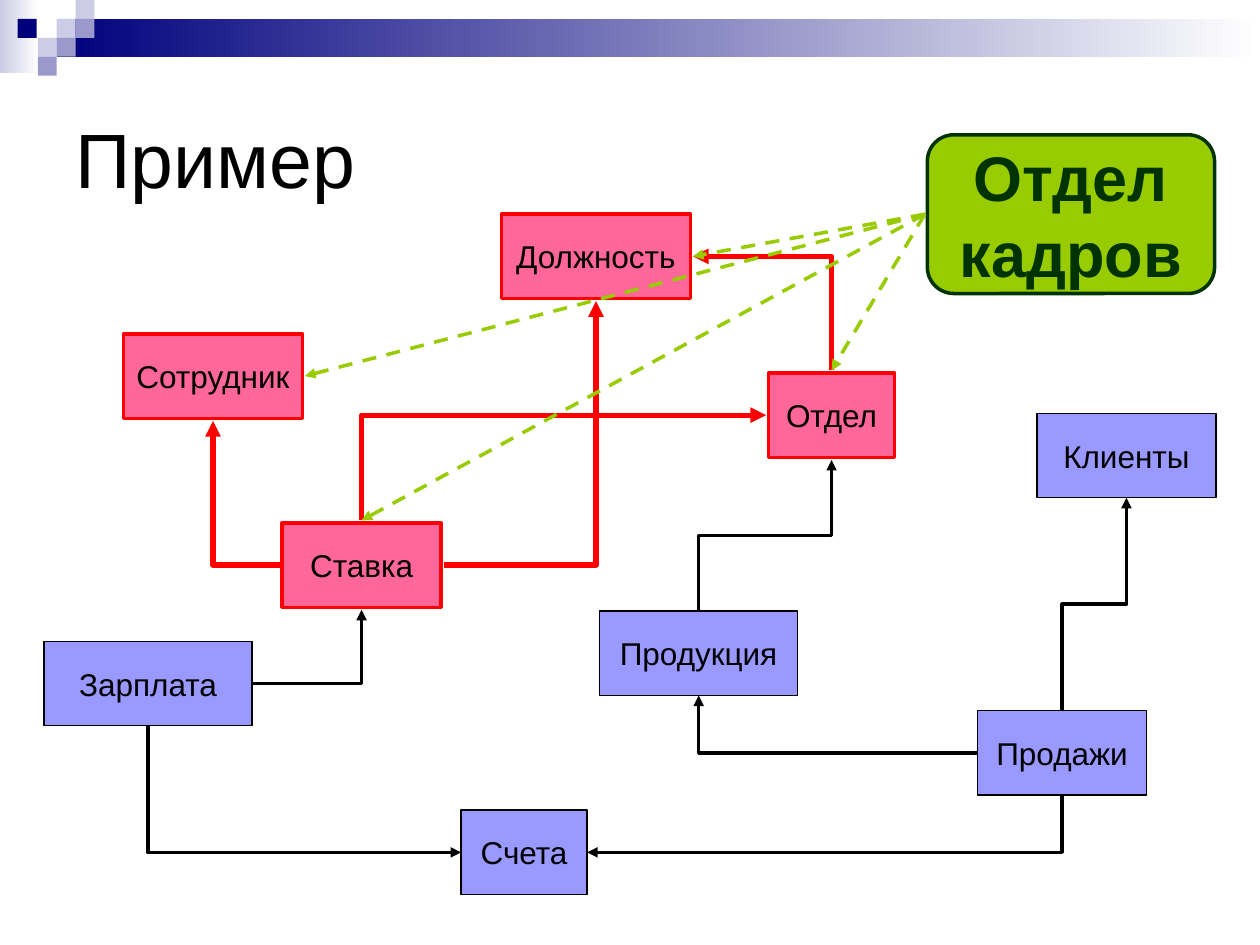
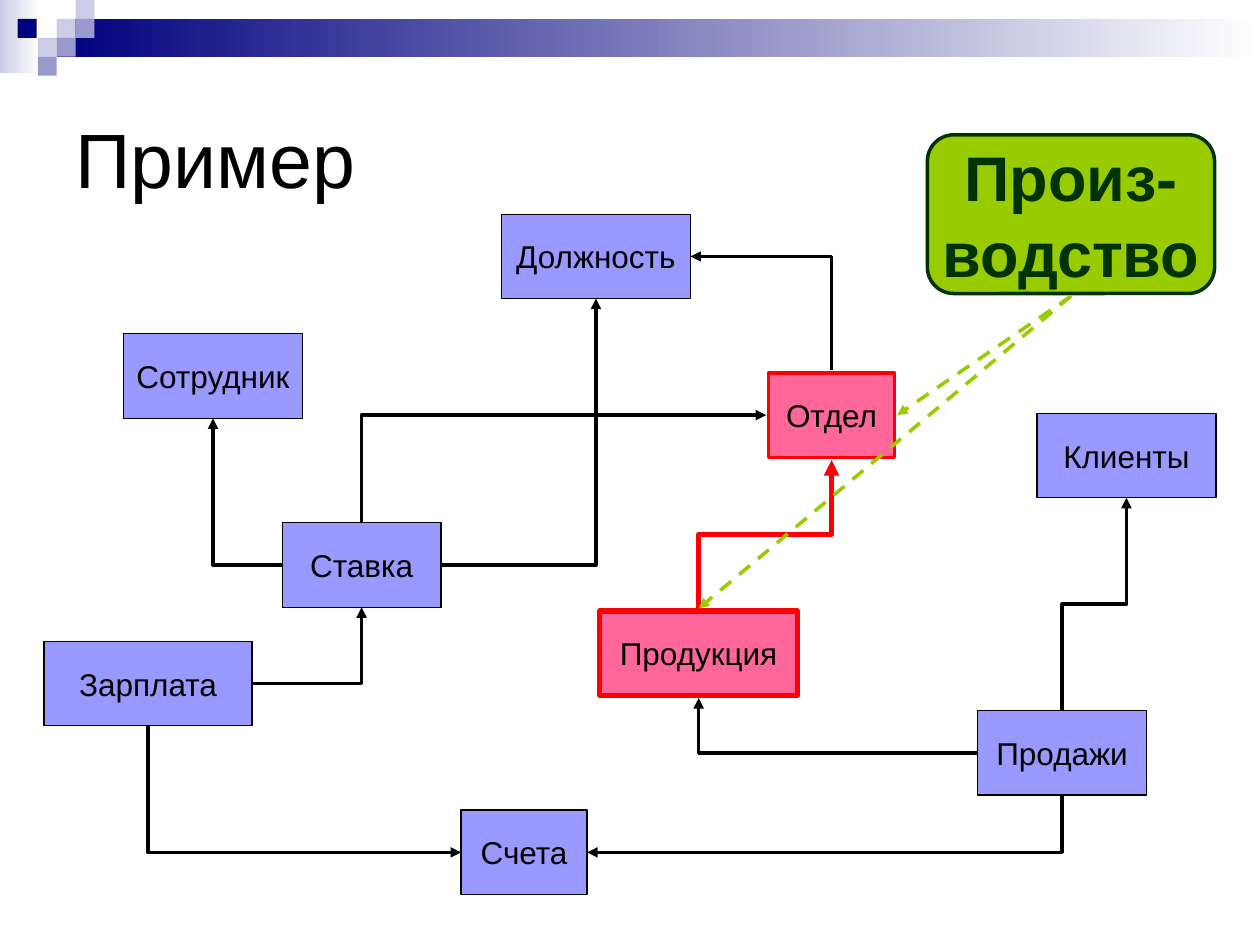
"""Build two slides that mark which tables of a company schema a department uses."""
from pptx import Presentation
from pptx import util as u
from pptx.dml.color import RGBColor
from pptx.enum import dml, shapes, text
from pptx.oxml import ns, xmlchemy

FONT = "Arial"
WHITE = RGBColor(0xFF, 0xFF, 0xFF)
BLACK = RGBColor(0, 0, 0)
NAVY = RGBColor(0, 0, 0x7D)
MIST = RGBColor(0xCC, 0xCC, 0xE6)
LILAC = RGBColor(0x99, 0x99, 0xCC)
BLUE = RGBColor(0x99, 0x99, 0xFF)
PINK = RGBColor(0xFF, 0x66, 0x99)
RED = RGBColor(0xFF, 0, 0)
LIME = RGBColor(0x99, 0xCC, 0)
GREEN = RGBColor(0, 0x33, 0)

TILE = 0.15
TILES = [
    (0.45, 0.15, MIST), (0.6, 0, MIST), (0.6, 0.15, LILAC), (0.3, 0.3, MIST),
    (0.14, 0.15, NAVY), (0.45, 0.3, LILAC), (0.3, 0.45, LILAC),
]

TABLES = {
    "Сотрудник": (0.98, 2.65, 1.42, 0.67),
    "Должность": (3.98, 1.7, 1.5, 0.67),
    "Ставка": (2.24, 4.15, 1.26, 0.67),
    "Зарплата": (0.35, 5.09, 1.65, 0.67),
    "Отдел": (6.1, 2.96, 1, 0.67),
    "Продукция": (4.76, 4.85, 1.57, 0.67),
    "Клиенты": (8.23, 3.28, 1.42, 0.67),
    "Продажи": (7.76, 5.64, 1.34, 0.67),
    "Счета": (3.66, 6.43, 1, 0.67),
}
LINKS = [
    ("Ставка", "left", "Сотрудник", "bottom"),
    ("Ставка", "right", "Должность", "bottom"),
    ("Зарплата", "right", "Ставка", "bottom"),
    ("Отдел", "top", "Должность", "right"),
    ("Ставка", "top", "Отдел", "left"),
    ("Продукция", "top", "Отдел", "bottom"),
    ("Продажи", "left", "Продукция", "bottom"),
    ("Продажи", "bottom", "Счета", "right"),
    ("Зарплата", "bottom", "Счета", "left"),
    ("Продажи", "top", "Клиенты", "bottom"),
]
SIDES = {"left": (-1, 0), "right": (1, 0), "top": (0, -1), "bottom": (0, 1)}
CALLOUT = (7.36, 1.07, 2.28, 1.26)
GAP = 0.02

HR_HOT = {"Сотрудник": 2, "Должность": 2, "Ставка": 2, "Отдел": 2}
HR_RAYS = [("Должность", "right"), ("Сотрудник", "right"), ("Отдел", "top"), ("Ставка", "top")]
MAKE_HOT = {"Отдел": 2, "Продукция": 3}
MAKE_RAYS = [("Отдел", "right"), ("Продукция", "top")]


def add_box(slide, kind, area, fill, edge=None, width=0):
    """Add a plain filled shape, with an outline if an edge colour is given."""
    box = slide.shapes.add_shape(kind, *map(u.Inches, area))
    box.shadow.inherit = False
    box.fill.solid()
    box.fill.fore_color.rgb = fill
    if edge is None:
        box.line.fill.background()
    else:
        box.line.color.rgb = edge
        box.line.width = u.Pt(width)
    return box


def set_text(box, lines, size, color, align, bold=False, wrap=False):
    """Write the lines as paragraphs, centred in height."""
    frame = box.text_frame
    frame.word_wrap = wrap
    frame.vertical_anchor = text.MSO_ANCHOR.MIDDLE
    for row, line in enumerate(lines):
        para = frame.paragraphs[0] if row == 0 else frame.add_paragraph()
        para.text = line
        para.alignment = align
        para.font.name = FONT
        para.font.size = u.Pt(size)
        para.font.bold = bold
        para.font.color.rgb = color


def add_fade(slide, area, color):
    """Add a band that fades from the colour to white, left to right."""
    band = add_box(slide, shapes.MSO_SHAPE.RECTANGLE, area, color)
    band.fill.gradient()
    band.fill.gradient_angle = 0
    for stop, tone in zip(band.fill.gradient_stops, (color, WHITE)):
        stop.color.rgb = tone


def add_frame(slide):
    """Add the header bands, the tiles and the title."""
    add_fade(slide, (0, 0, 0.31, 0.58), MIST)
    add_fade(slide, (0.45, 0.15, 9.55, 0.3), NAVY)
    for left, top, color in TILES:
        add_box(slide, shapes.MSO_SHAPE.RECTANGLE, (left, top, TILE, TILE), color)
    title = slide.shapes.add_textbox(*map(u.Inches, (0.5, 0.5, 9, 1.5)))
    set_text(title, ["Пример"], 44, BLACK, text.PP_ALIGN.LEFT, wrap=True)


def add_table_box(slide, name, width):
    """Add a schema table, red when it has a highlight width."""
    look = (PINK, RED, width) if width else (BLUE, BLACK, 0.75)
    box = add_box(slide, shapes.MSO_SHAPE.FLOWCHART_PROCESS, TABLES[name], *look)
    set_text(box, [name], 18, BLACK, text.PP_ALIGN.CENTER)


def find_port(area, side, gap=0):
    """Return the middle of a side, moved outward by the gap."""
    left, top, width, height = area
    dx, dy = SIDES[side]
    return left + width / 2 + dx * (width / 2 + gap), top + height / 2 + dy * (height / 2 + gap)


def add_arrow(slide, kind, start, end, color, width, dash=None):
    """Add a connector with an arrowhead at its end."""
    line = slide.shapes.add_connector(kind, *map(u.Inches, start + end))
    line.line.color.rgb = color
    line.line.width = u.Pt(width)
    if dash:
        line.line.dash_style = dash
    props = line._element.spPr
    head = xmlchemy.OxmlElement("a:tailEnd")
    head.set("type", "triangle")
    props.find(ns.qn("a:ln")).append(head)
    props.append(xmlchemy.OxmlElement("a:effectLst"))
    return line


def add_bent(slide, start, end, upright, bends, color, width):
    """Add an elbow arrow that leaves upright or sideways, with one or two bends."""
    (x1, y1), (x2, y2) = start, end
    back, rise = x2 < x1, y2 < y1
    wide, high = abs(x2 - x1), abs(y2 - y1)
    if upright:
        wide, high = high, wide
        turn, flip = (90 if back else 270), ("flipH" if back == rise else None)
    else:
        turn, flip = (180 if back else 0), ("flipV" if back != rise else None)
    left, top = (x1 + x2 - wide) / 2, (y1 + y2 - high) / 2
    line = add_arrow(slide, shapes.MSO_CONNECTOR.ELBOW, (left, top),
                     (left + wide, top + high), color, width)
    props = line._element.spPr
    props.find(ns.qn("a:prstGeom")).set("prst", f"bentConnector{bends + 1}")
    frame = props.find(ns.qn("a:xfrm"))
    frame.set("rot", str(turn * 60000))
    if flip:
        frame.set(flip, "1")


def add_link(slide, link, hot):
    """Join two tables, in red when both are highlighted."""
    source, out, target, into = link
    start = find_port(TABLES[source], out, GAP if source in hot else 0)
    end = find_port(TABLES[target], into, GAP if target in hot else 0)
    upright = SIDES[out][0] == 0
    bends = 2 if upright and SIDES[into][0] == 0 else 1
    look = (RED, 3) if source in hot and target in hot else (BLACK, 2)
    add_bent(slide, start, end, upright, bends, *look)


def add_callout(slide, lines, side, rays):
    """Add the department and dashed arrows to the tables it uses."""
    box = add_box(slide, shapes.MSO_SHAPE.FLOWCHART_ALTERNATE_PROCESS, CALLOUT, LIME, GREEN, 2)
    set_text(box, lines, 36, GREEN, text.PP_ALIGN.CENTER, bold=True)
    start = find_port(CALLOUT, side, GAP)
    for name, into in rays:
        add_arrow(slide, shapes.MSO_CONNECTOR.STRAIGHT, start,
                  find_port(TABLES[name], into, GAP), LIME, 2, dml.MSO_LINE.DASH)


def add_schema(deck, lines, side, hot, rays):
    """Add one slide with the schema seen by a department."""
    slide = deck.slides.add_slide(deck.slide_layouts[6])
    add_frame(slide)
    for name in TABLES:
        add_table_box(slide, name, hot.get(name))
    for link in LINKS:
        add_link(slide, link, hot)
    add_callout(slide, lines, side, rays)


def main():
    """Build and save the deck."""
    deck = Presentation()
    deck.slide_width, deck.slide_height = u.Inches(10), u.Inches(7.5)
    add_schema(deck, ["Отдел", "кадров"], "left", HR_HOT, HR_RAYS)
    add_schema(deck, ["Произ-", "водство"], "bottom", MAKE_HOT, MAKE_RAYS)
    deck.save("out.pptx")


if __name__ == "__main__":
    main()
